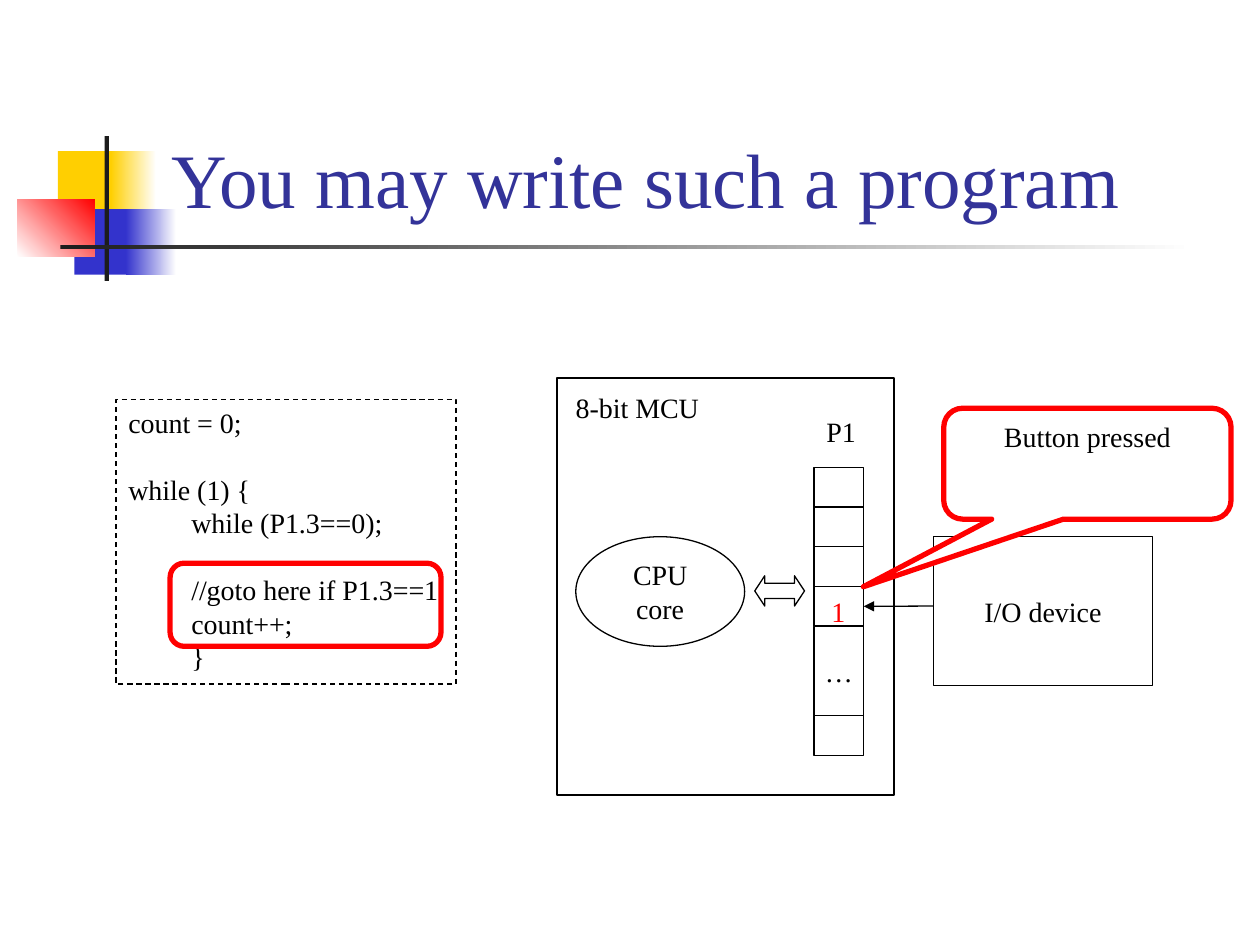
from dataclasses import dataclass
from typing import NamedTuple, Optional

import pptx
import pptx.dml.color
import pptx.enum.dml
import pptx.enum.shapes
import pptx.enum.text
import pptx.util
from lxml import etree
from pptx.oxml import ns

SHAPE = pptx.enum.shapes.MSO_SHAPE
ALIGN = pptx.enum.text.PP_ALIGN
ANCHOR = pptx.enum.text.MSO_ANCHOR
COLS, ROWS = 100, 75


@dataclass(frozen=True)
class Theme:
    font: str = "Times New Roman"
    head: int = 44
    body: int = 16
    gap: int = 19
    thin: float = 0.75
    thick: float = 3
    ink: str = "000000"
    paper: str = "FFFFFF"
    title: str = "333399"
    alert: str = "FF0000"
    gold: str = "FFCF01"
    blue: str = "3333CC"
    dark: str = "1C1C1C"


class Box(NamedTuple):
    """Left, top, width and height in grid columns and rows."""
    x: float
    y: float
    w: float
    h: float


class Fade(NamedTuple):
    start: str
    end: str
    angle: float = 0


class Line(NamedTuple):
    text: str
    level: int = 0
    gap: bool = False


class Patch(NamedTuple):
    box: Box
    fill: object


theme = Theme()
deck = pptx.Presentation()
deck.slide_width = pptx.util.Inches(10)
deck.slide_height = pptx.util.Inches(7.5)
slide = deck.slides.add_slide(deck.slide_layouts[6])


def rgb(code: str):
    return pptx.dml.color.RGBColor.from_string(code)


def col(n: float) -> int:
    return round(deck.slide_width * n / COLS)


def row(n: float) -> int:
    return round(deck.slide_height * n / ROWS)


def place(box: Box) -> tuple:
    return col(box.x), row(box.y), col(box.w), row(box.h)


def paint(shape, fill) -> None:
    if fill is None:
        shape.fill.background()
    elif isinstance(fill, Fade):
        shape.fill.gradient()
        shape.fill.gradient_angle = fill.angle
        for stop, code in zip(shape.fill.gradient_stops, fill):
            stop.color.rgb = rgb(code)
    else:
        shape.fill.solid()
        shape.fill.fore_color.rgb = rgb(fill)


def draw(box: Box, kind=SHAPE.RECTANGLE, fill=None, line: Optional[str] = theme.ink,
         width: float = theme.thin, adjust: tuple = ()):
    shape = slide.shapes.add_shape(kind, *place(box))
    shape.shadow.inherit = False
    for i, value in enumerate(adjust):
        shape.adjustments[i] = value
    paint(shape, fill)
    if line is None:
        shape.line.fill.background()
    else:
        shape.line.color.rgb = rgb(line)
        shape.line.width = pptx.util.Pt(width)
    return shape


def write(shape, lines: list, size: int = theme.body, color: str = theme.ink,
          align=ALIGN.CENTER, anchor=ANCHOR.MIDDLE, wrap: bool = False) -> None:
    frame = shape.text_frame
    frame.text = "\n".join(line.text for line in lines)
    frame.word_wrap = wrap
    frame.vertical_anchor = anchor
    for para, line in zip(frame.paragraphs, lines):
        para.alignment = align
        if line.gap:
            para.space_before = pptx.util.Pt(theme.gap)
        if line.level:
            props = para._p.get_or_add_pPr()
            props.set("marL", str(col(5 * line.level)))
            props.set("indent", "0")
        for run in para.runs:
            run.font.name = theme.font
            run.font.size = pptx.util.Pt(size)
            run.font.color.rgb = rgb(color)


def label(box: Box, text: str, **style) -> None:
    style = {"align": ALIGN.LEFT, "anchor": ANCHOR.TOP, **style}
    write(slide.shapes.add_textbox(*place(box)), [Line(text)], **style)


def arrow(x: float, y: float, goal, side: int) -> None:
    """Run a line from a grid point to the middle of a side of the goal."""
    link = slide.shapes.add_connector(
        pptx.enum.shapes.MSO_CONNECTOR.STRAIGHT, col(x), row(y), col(x), row(y))
    link.end_connect(goal, side)
    link.line.color.rgb = rgb(theme.ink)
    link.line.width = pptx.util.Pt(theme.thin)
    tip = etree.SubElement(link.line._get_or_add_ln(), ns.qn("a:tailEnd"))
    tip.set("type", "triangle")
    etree.SubElement(link._element.spPr, ns.qn("a:effectLst"))


def banner() -> None:
    patches = [
        Patch(Box(4.6, 12, 4.8, 5.2), theme.gold),
        Patch(Box(8.8, 12, 3.6, 5.2), Fade(theme.gold, theme.paper)),
        Patch(Box(5.9, 16.6, 4.6, 5.2), theme.blue),
        Patch(Box(10, 16.6, 4, 5.2), Fade(theme.blue, theme.paper)),
        Patch(Box(1.4, 15.8, 6.1, 4.6), Fade(theme.paper, theme.alert, 45)),
        Patch(Box(8.3, 10.8, 0.35, 11.5), theme.dark),
        Patch(Box(4.8, 19.45, 90, 0.35), Fade(theme.dark, theme.paper)),
    ]
    for patch in patches:
        draw(patch.box, fill=patch.fill, line=None)
    label(Box(12.6, 2.3, 85.2, 16), "You may write such a program", size=theme.head,
          color=theme.title, anchor=ANCHOR.BOTTOM, wrap=True)


def code() -> None:
    panel = draw(Box(9.2, 31.7, 27, 22.6))
    panel.line.dash_style = pptx.enum.dml.MSO_LINE.DASH
    write(panel, [
        Line("count = 0;"),
        Line("while (1) {", gap=True),
        Line("while (P1.3==0);", 1),
        Line("//goto here if P1.3==1", 1, gap=True),
        Line("count++;", 1),
        Line("}", 1),
    ], align=ALIGN.LEFT, anchor=ANCHOR.TOP)


def port() -> list:
    """Stack the port's cells; the one for the skipped bits is taller."""
    unit, top, cells = 3.15, 37.1, []
    for high in (unit, unit, unit, unit, 7.1, unit):
        cells.append(draw(Box(64.6, top, 3.95, high)))
        top += high
    write(cells[4], [Line("…")])
    label(Box(64.6, 32.4, 4.4, 3.7), "P1")
    return cells


def chip() -> None:
    cells = port()
    core = draw(Box(45.7, 42.6, 13.4, 8.7), SHAPE.OVAL)
    write(core, [Line("CPU"), Line("core")])
    draw(Box(59.9, 45.7, 3.95, 2.4), SHAPE.LEFT_RIGHT_ARROW, adjust=(0.5, 0.33))
    draw(Box(44.2, 30, 26.75, 33.1))
    label(Box(44.7, 30.5, 12.1, 3.7), "8-bit MCU")
    device = draw(Box(74.1, 42.6, 17.35, 11.8))
    write(device, [Line("I/O device")])
    arrow(74.1, 48.1, cells[3], 3)
    label(Box(65, 46.7, 3.1, 3.7), "1", color=theme.alert)


def notes() -> None:
    """Mark the button press and the code it leads to."""
    callout = draw(Box(74.9, 32.4, 22.8, 8.8), SHAPE.ROUNDED_RECTANGULAR_CALLOUT,
                   theme.paper, theme.alert, theme.thick, (-0.78, 1.11, 0.17))
    write(callout, [Line("Button pressed")], anchor=ANCHOR.TOP, wrap=True)
    draw(Box(13.5, 44.7, 21.5, 6.6), SHAPE.ROUNDED_RECTANGLE,
         line=theme.alert, width=theme.thick, adjust=(0.17,))


if __name__ == "__main__":
    banner()
    code()
    chip()
    notes()
    deck.save("out.pptx")
